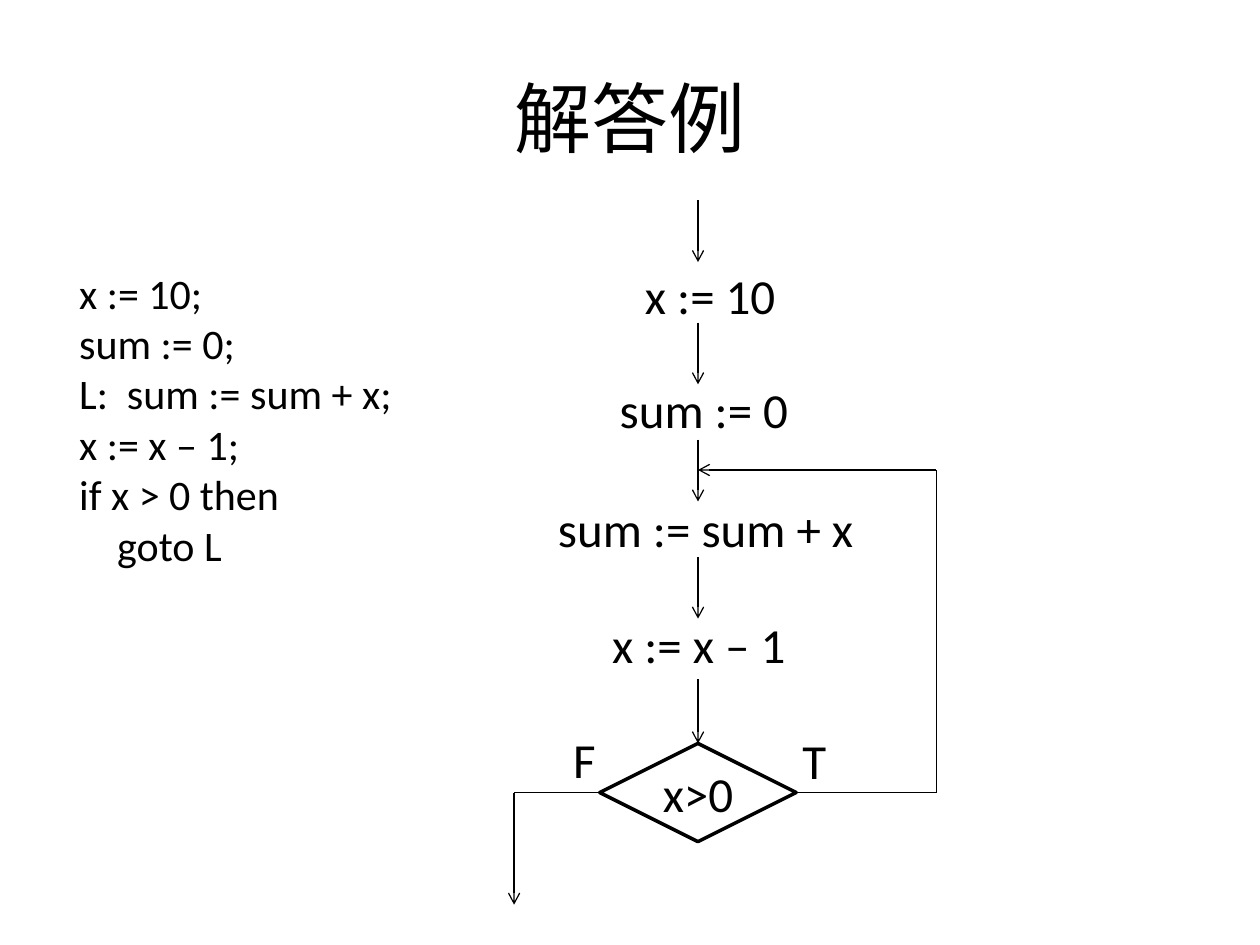
"""Build a slide that sets a short loop program beside its flowchart."""
from dataclasses import dataclass

from lxml import etree
from pptx import Presentation
from pptx.dml.color import RGBColor
from pptx.enum.shapes import MSO_CONNECTOR, MSO_SHAPE
from pptx.enum.text import MSO_ANCHOR, MSO_AUTO_SIZE, PP_ALIGN
from pptx.oxml.ns import qn
from pptx.util import Inches, Pt

STRAIGHT = MSO_CONNECTOR.STRAIGHT
DIAMOND = MSO_SHAPE.DIAMOND
MIDDLE = MSO_ANCHOR.MIDDLE
FIT_SHAPE = MSO_AUTO_SIZE.SHAPE_TO_FIT_TEXT
CENTER = PP_ALIGN.CENTER
TOP, LEFT, RIGHT = 0, 1, 3


@dataclass(frozen=True)
class Theme:
    """Colours, font, type sizes and line widths."""
    ink: RGBColor = RGBColor(0, 0, 0)
    font: str = "Calibri"
    title: Pt = Pt(44)
    code: Pt = Pt(24)
    step: Pt = Pt(28)
    thin: Pt = Pt(0.75)
    thick: Pt = Pt(2)


THEME = Theme()
FLOW_X = 5.54
ARROW_LENGTH = 0.49
ARROW_STARTS = (1.59, 2.56, 3.49, 4.42)
LAST_ARROW_START = 5.39
TEST_WIDTH, TEST_TOP, TEST_HEIGHT = 1.56, 5.9, 0.78
TEST_Y = TEST_TOP + TEST_HEIGHT / 2
EXIT_X, EXIT_BOTTOM = 4.08, 7.18
LOOP_X, LOOP_Y = 7.43, 3.73
LABEL_HEIGHT = 0.57

CODE = (
    "x := 10;",
    "sum := 0;",
    "L:  sum := sum + x;",
    "x := x – 1;",
    "if x > 0 then",
    "    goto L",
)
LABELS = (
    ("x := 10", 5.02, 2.06, 1.25),
    ("sum := 0", 4.82, 2.96, 1.56),
    ("sum := sum + x", 4.33, 3.91, 2.58),
    ("x := x – 1", 4.76, 4.83, 1.6),
    ("T", 6.27, 5.75, 0.39),
    ("F", 4.45, 5.74, 0.39),
)


def write(frame, lines, size, align=None):
    """Fill a text frame with one paragraph for each line."""
    for index, line in enumerate(lines):
        para = frame.paragraphs[0] if index == 0 else frame.add_paragraph()
        para.text = line
        para.alignment = align
        para.font.name = THEME.font
        para.font.size = size
        para.font.color.rgb = THEME.ink


def add_text(page, lines, left, top, width, height, size, wrap=True, align=None):
    """Add a text box and return its frame."""
    box = page.shapes.add_textbox(Inches(left), Inches(top), Inches(width), Inches(height))
    box.text_frame.word_wrap = wrap
    write(box.text_frame, lines, size, align)
    return box.text_frame


def add_line(page, start, end, arrow=False):
    """Add a thin straight line, with an open arrowhead at its end if asked."""
    line = page.shapes.add_connector(STRAIGHT, *(Inches(value) for value in (*start, *end)))
    line.line.color.rgb = THEME.ink
    line.line.width = THEME.thin
    if arrow:
        etree.SubElement(line.line._get_or_add_ln(), qn("a:tailEnd"), type="arrow")
    etree.SubElement(line._element.spPr, qn("a:effectLst"))
    return line


def add_test(page, text):
    """Add the diamond that holds the loop test."""
    test = page.shapes.add_shape(
        DIAMOND, Inches(FLOW_X - TEST_WIDTH / 2), Inches(TEST_TOP),
        Inches(TEST_WIDTH), Inches(TEST_HEIGHT))
    test.shadow.inherit = False
    test.fill.background()
    test.line.color.rgb = THEME.ink
    test.line.width = THEME.thick
    frame = test.text_frame
    frame.word_wrap = False
    frame.vertical_anchor = MIDDLE
    write(frame, [text], THEME.step, CENTER)
    return test


def add_flow(page):
    """Add the steps, the test and the lines between them."""
    for text, left, top, width in LABELS:
        frame = add_text(page, [text], left, top, width, LABEL_HEIGHT, THEME.step, wrap=False)
        frame.auto_size = FIT_SHAPE
    for start in ARROW_STARTS:
        add_line(page, (FLOW_X, start), (FLOW_X, start + ARROW_LENGTH), arrow=True)

    test = add_test(page, "x>0")
    into_test = add_line(page, (FLOW_X, LAST_ARROW_START), (FLOW_X, TEST_TOP), arrow=True)
    into_test.end_connect(test, TOP)
    for corner_x, side in ((EXIT_X, LEFT), (LOOP_X, RIGHT)):
        branch = add_line(page, (FLOW_X, TEST_Y), (corner_x, TEST_Y))
        branch.begin_connect(test, side)
    add_line(page, (EXIT_X, TEST_Y), (EXIT_X, EXIT_BOTTOM), arrow=True)
    add_line(page, (LOOP_X, TEST_Y), (LOOP_X, LOOP_Y))
    add_line(page, (LOOP_X, LOOP_Y), (FLOW_X, LOOP_Y), arrow=True)


def main():
    """Build and save the deck."""
    deck = Presentation()
    deck.slide_width, deck.slide_height = Inches(10), Inches(7.5)
    page = deck.slides.add_slide(deck.slide_layouts[6])
    title = add_text(page, ["解答例"], 0.5, 0.3, 9, 1.25, THEME.title, align=CENTER)
    title.vertical_anchor = MIDDLE
    add_text(page, CODE, 0.53, 2.07, 2.72, 2.52, THEME.code)
    add_flow(page)
    deck.save("out.pptx")


if __name__ == "__main__":
    main()
